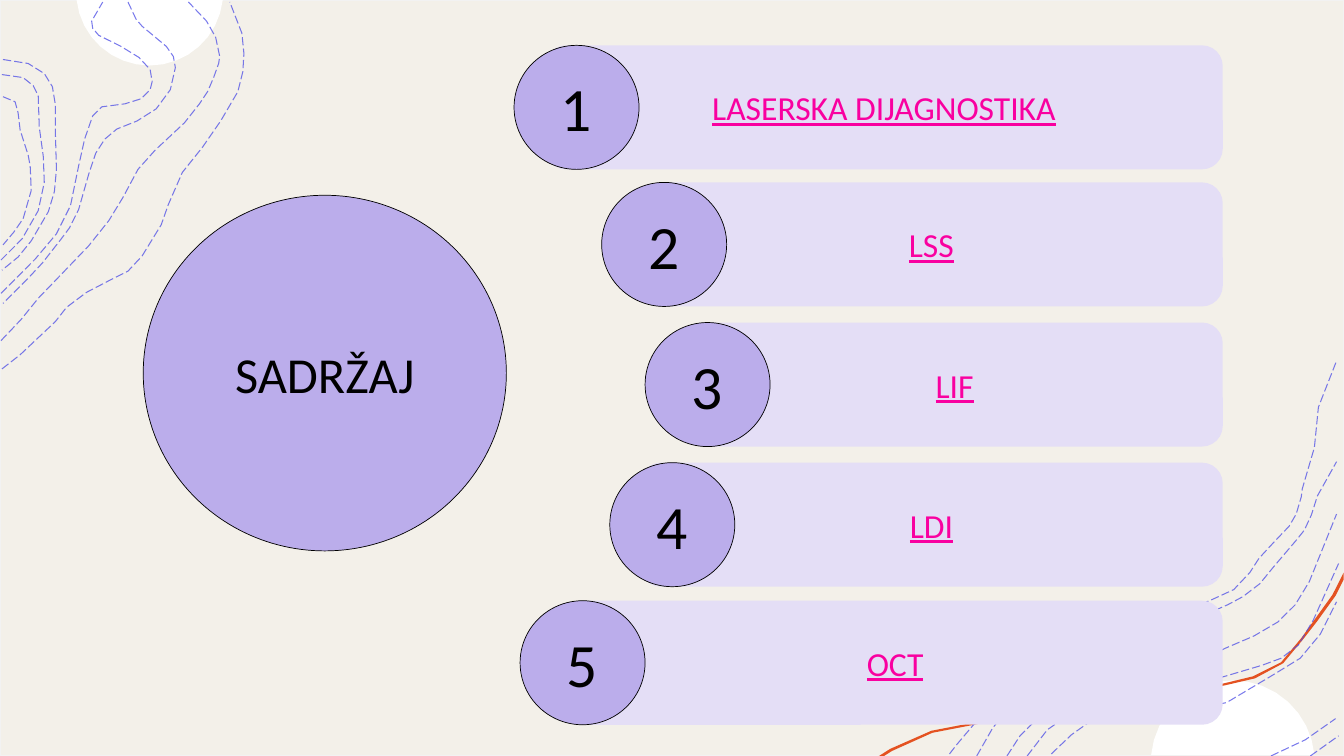
import math

from lxml import etree
from pptx import Presentation
from pptx.dml.color import RGBColor
from pptx.enum.dml import MSO_LINE
from pptx.enum.shapes import MSO_SHAPE
from pptx.enum.text import MSO_ANCHOR, PP_ALIGN
from pptx.oxml.ns import qn
from pptx.util import Pt

RECT, BAR, CIRCLE = MSO_SHAPE.RECTANGLE, MSO_SHAPE.ROUNDED_RECTANGLE, MSO_SHAPE.FLOWCHART_CONNECTOR
LONG_DASH = MSO_LINE.LONG_DASH
CENTER, MIDDLE = PP_ALIGN.CENTER, MSO_ANCHOR.MIDDLE

CREAM = RGBColor(0xF3, 0xF0, 0xE9)
EDGE = RGBColor(0xF2, 0xF2, 0xF2)
WHITE = RGBColor(0xFF, 0xFF, 0xFF)
BLACK = RGBColor(0x00, 0x00, 0x00)
ORANGE = RGBColor(0xE4, 0x52, 0x21)
BLUE = RGBColor(0x4D, 0x4E, 0xE6)
PURPLE = RGBColor(0xBB, 0xAD, 0xEB)
LILAC = RGBColor(0xE4, 0xDE, 0xF6)
PINK = RGBColor(0xF9, 0x00, 0xA0)

WIDTH, HEIGHT = 960, 540
UNIT = 0.72  # points per unit of the outline coordinates below
ARC_STEPS = 16

# Contents: top, bar left, circle left, label
ROWS = [
    (32.4, 389.5, 367.2, "LASERSKA DIJAGNOSTIKA"),
    (130.3, 457.2, 429.8, "LSS"),
    (230.4, 490.3, 460.8, "LIF"),
    (330.5, 457.2, 435.6, "LDI"),
    (429.1, 405.4, 371.5, "OCT"),
]
ROW_H, CIRCLE_W, BAR_RIGHT = 88.6, 89.3, 873.4

# White caps: left, right, base, apex
CAPS = [(76, 221, 0, 65), (1142, 1304, 749, 675)]

# Lower edge of the orange ribbon, then its upper edge back
RIBBON = [
    (1333, 575), (1325, 591), (1307, 616), (1293, 634), (1273, 658), (1245, 673), (1215, 680),
    (1191, 685), (1155, 693), (1105, 704), (1065, 708), (982, 716), (925, 727), (885, 745),
    (877, 750), (872, 750), (883, 743), (924, 725), (981, 714), (1065, 706), (1104, 702),
    (1154, 691), (1190, 683), (1214, 678), (1243, 671), (1271, 657), (1291, 633), (1304, 615),
    (1322, 590), (1331, 572), (1333, 568),
]

TOP_LEFT_WAVES = [
    [(2, 366), (20, 352), (55, 319), (66, 305), (86, 290), (111, 277), (127, 269), (141, 254),
     (160, 223), (167, 203), (181, 171), (201, 146), (219, 120), (236, 91), (241, 71), (242, 53),
     (240, 33), (228, 2)],
    [(1, 338), (21, 317), (38, 296), (64, 269), (88, 244), (108, 219), (122, 196), (137, 168),
     (154, 149), (183, 122), (198, 103), (206, 91), (212, 77), (217, 63), (218, 56), (214, 37),
     (205, 21), (187, 2)],
    [(127, 2), (135, 19), (141, 26), (165, 46), (172, 56), (174, 67), (169, 89), (155, 108),
     (136, 120), (116, 128), (104, 138), (95, 152), (88, 173), (78, 208), (69, 226), (60, 238),
     (42, 261), (28, 276), (3, 301)],
    [(1, 291), (35, 257), (56, 232), (70, 204), (78, 165), (84, 138), (92, 115), (101, 106),
     (124, 103), (140, 98), (149, 89), (151, 81), (149, 69), (138, 57), (120, 46), (98, 35),
     (92, 28), (91, 21), (102, 2)],
    [(3, 59), (28, 63), (44, 73), (52, 86), (55, 104), (55, 132), (56, 168), (54, 190), (48, 210),
     (31, 239), (18, 255), (2, 268)],
    [(2, 74), (23, 77), (33, 85), (38, 95), (39, 126), (43, 155), (44, 181), (38, 209), (22, 237),
     (1, 258)],
    [(3, 96), (15, 101), (18, 112), (20, 129), (28, 154), (30, 165), (31, 189), (23, 217),
     (14, 230), (3, 243)],
]

BOTTOM_RIGHT_WAVES = [
    [(942, 748), (949, 739), (971, 713), (986, 695), (1002, 680), (1032, 660), (1056, 643),
     (1078, 630), (1098, 625), (1113, 626), (1126, 629), (1137, 629), (1155, 619), (1173, 606),
     (1200, 596), (1224, 585), (1240, 568), (1249, 554), (1261, 541), (1279, 522), (1286, 510),
     (1291, 493), (1292, 485), (1304, 444), (1308, 404), (1326, 358)],
    [(969, 750), (985, 722), (1008, 694), (1029, 677), (1049, 662), (1075, 645), (1103, 638),
     (1122, 641), (1145, 641), (1164, 633), (1175, 624), (1195, 610), (1218, 600), (1233, 592),
     (1250, 579), (1263, 563), (1286, 536), (1294, 526), (1301, 511), (1307, 492), (1326, 458)],
    [(1300, 750), (1328, 730)],
    [(1261, 750), (1295, 734), (1325, 713)],
    [(1043, 748), (1063, 729), (1084, 714), (1119, 705), (1145, 699), (1171, 700), (1188, 703),
     (1217, 697), (1264, 669), (1290, 653), (1310, 629), (1326, 597)],
    [(1019, 750), (1039, 724), (1072, 701), (1107, 692), (1149, 685), (1184, 680), (1215, 671),
     (1252, 660), (1271, 653), (1288, 640), (1303, 615), (1328, 559)],
    [(999, 750), (1012, 730), (1042, 700), (1071, 680), (1100, 675), (1143, 670), (1184, 658),
     (1216, 643), (1244, 631), (1268, 617), (1285, 600), (1299, 577), (1326, 510)],
]


def arc(left, right, base, apex):
    """Points of a circle segment standing on a level chord."""
    half, rise = (right - left) / 2, abs(apex - base)
    radius = (half**2 + rise**2) / (2 * rise)
    sign = math.copysign(1, apex - base)
    spread = math.atan2(half, radius - rise)
    angles = [spread * (2 * i / ARC_STEPS - 1) for i in range(ARC_STEPS + 1)]
    return [((left + right) / 2 + radius * math.sin(a),
             apex + sign * radius * (math.cos(a) - 1)) for a in angles]


def add_outline(shapes, points, close):
    points = [(Pt(x * UNIT), Pt(y * UNIT)) for x, y in points]
    builder = shapes.build_freeform(*points[0])
    builder.add_line_segments(points[1:], close=close)
    s = builder.convert_to_shape()
    s.shadow.inherit = False
    return s


def add_area(shapes, points, color):
    s = add_outline(shapes, points, True)
    s.fill.solid()
    s.fill.fore_color.rgb = color
    s.line.fill.background()


def add_waves(slide, waves):
    group = slide.shapes.add_group_shape()
    for points in waves:
        s = add_outline(group.shapes, points, False)
        s.fill.background()
        s.line.color.rgb = BLUE
        s.line.width = Pt(0.75)
        s.line.dash_style = LONG_DASH
        color = s.line._ln.find(".//" + qn("a:srgbClr"))
        etree.SubElement(color, qn("a:alpha"), val="75000")


def add_box(slide, kind, box, fill, line=None, line_width=0.5):
    s = slide.shapes.add_shape(kind, *(Pt(v) for v in box))
    s.shadow.inherit = False
    s.fill.solid()
    s.fill.fore_color.rgb = fill
    if line is None:
        s.line.fill.background()
    else:
        s.line.color.rgb = line
        s.line.width = Pt(line_width)
    return s


def set_text(s, text, size, color=BLACK, underline=False):
    tf = s.text_frame
    tf.vertical_anchor = MIDDLE
    p = tf.paragraphs[0]
    p.alignment = CENTER
    r = p.add_run()
    r.text = text
    font = {"name": "Calibri", "size": Pt(size), "underline": underline}
    for key, value in font.items():
        setattr(r.font, key, value)
    r.font.color.rgb = color


def main():
    prs = Presentation()
    prs.slide_width, prs.slide_height = Pt(WIDTH), Pt(HEIGHT)
    slide = prs.slides.add_slide(prs.slide_layouts[6])

    # Backdrop and decoration
    add_box(slide, RECT, (0, 0, WIDTH, HEIGHT), CREAM, EDGE, 1)
    for cap in CAPS:
        add_area(slide.shapes, arc(*cap), WHITE)
    add_area(slide.shapes, RIBBON, ORANGE)
    add_waves(slide, TOP_LEFT_WAVES)
    add_waves(slide, BOTTOM_RIGHT_WAVES)

    # Title circle
    set_text(add_box(slide, CIRCLE, (102.3, 139.5, 259.4, 254), PURPLE, BLACK), "SADRŽAJ", 36)

    # Numbered contents
    for number, (top, bar_left, circle_left, label) in enumerate(ROWS, 1):
        bar = add_box(slide, BAR, (bar_left, top, BAR_RIGHT - bar_left, ROW_H), LILAC)
        set_text(bar, label, 24, PINK, True)
        circle = add_box(slide, CIRCLE, (circle_left, top, CIRCLE_W, ROW_H), PURPLE, BLACK)
        set_text(circle, str(number), 44)

    prs.save("out.pptx")


if __name__ == "__main__":
    main()
